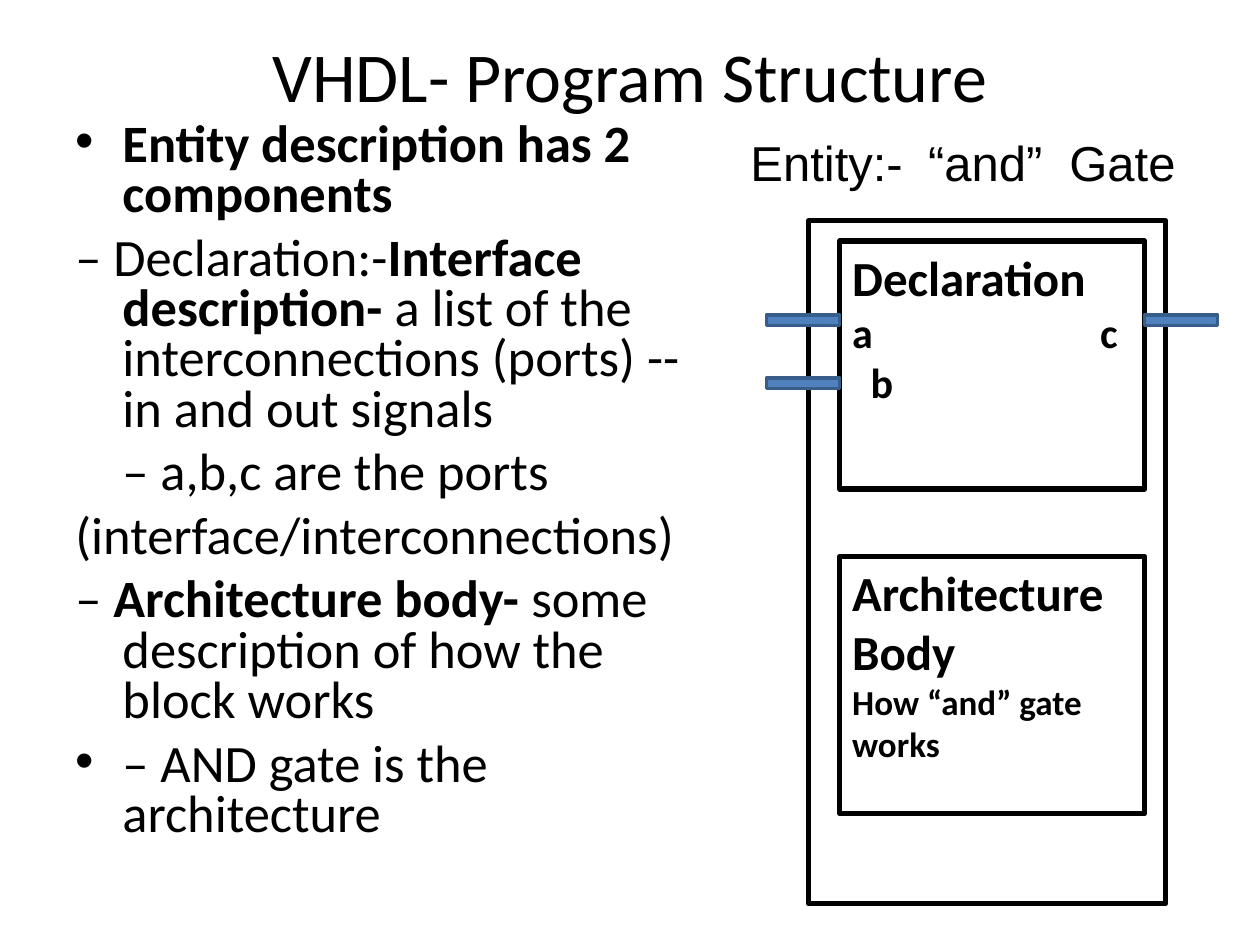
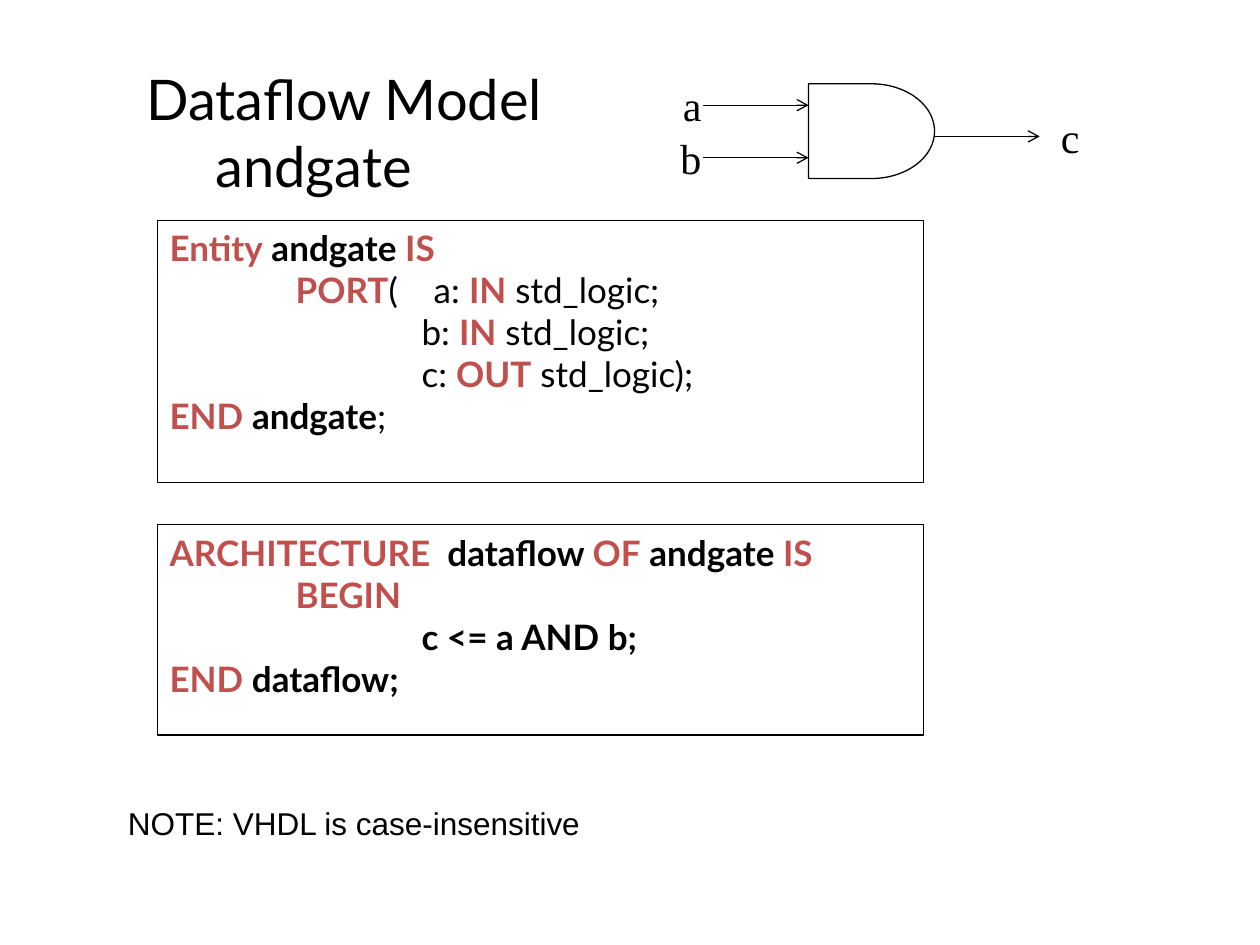
from dataclasses import dataclass, replace

from lxml.etree import SubElement
from pptx import Presentation
from pptx.dml.color import RGBColor
from pptx.enum.shapes import MSO_CONNECTOR, MSO_SHAPE
from pptx.enum.text import MSO_ANCHOR, PP_ALIGN
from pptx.oxml.ns import qn
from pptx.util import Cm, Pt

BLACK = RGBColor(0x00, 0x00, 0x00)
KEYWORD_RED = RGBColor(0xC0, 0x50, 0x4D)
PIN_BLUE = RGBColor(0x4F, 0x81, 0xBD)
PIN_EDGE = RGBColor(0x38, 0x5D, 0x8A)


@dataclass(frozen=True)
class Box:
    left: float
    top: float
    width: float
    height: float


@dataclass(frozen=True)
class Run:
    text: str
    bold: bool = False
    color: RGBColor = BLACK


@dataclass(frozen=True)
class Style:
    font: str
    size: float
    align: PP_ALIGN = PP_ALIGN.LEFT
    line_spacing: float = 1.0
    space_before: float = 0


@dataclass(frozen=True)
class Para:
    runs: tuple[Run, ...]
    left: float = 0
    indent: float = 0
    bullet: str = ""
    tabs: tuple[float, ...] = ()
    size: float | None = None


@dataclass(frozen=True)
class Outline:
    color: RGBColor
    width: float
    fill: RGBColor | None = None


TITLE = Style("Calibri", 40, PP_ALIGN.CENTER)
MODEL_TITLE = Style("Lato", 32)
BODY = Style("Calibri", 30, line_spacing=0.8, space_before=7.5)
BLOCK = Style("Calibri", 28)
CODE = Style("Lato", 20)
SIGNAL = Style("Times New Roman", 24, PP_ALIGN.RIGHT)
CAPTION = Style("Arial", 28)
NOTE = replace(CAPTION, size=18)

THICK = Outline(BLACK, 3)
THIN = Outline(BLACK, 0.75)
PIN = Outline(PIN_EDGE, 2, PIN_BLUE)

HANG = 0.95
CODE_STEP = 2.54


def plain(text: str, **layout) -> Para:
    return Para((Run(text),), **layout)


def bold(text: str, **layout) -> Para:
    return Para((Run(text, True),), **layout)


def keyword(text: str) -> Run:
    return Run(text, True, KEYWORD_RED)


def name(text: str) -> Run:
    return Run(text, True)


def hanging(*runs: Run, bullet: str = "") -> Para:
    return Para(runs, HANG, -HANG, bullet)


def code(*runs: Run, level: int = 0) -> Para:
    return Para(runs, left=level * CODE_STEP)


def set_all(target, values: dict) -> None:
    for attribute, value in values.items():
        setattr(target, attribute, value)


def add_marks(paragraph, para: Para) -> None:
    """Give a paragraph its indents, bullet and tab stops.

    Zero indents stay unset, since an explicit one makes LibreOffice drop the tab stops.
    """
    properties = paragraph._p.get_or_add_pPr()
    for attribute, length in (("marL", para.left), ("indent", para.indent)):
        if length:
            properties.set(attribute, str(Cm(length)))
    if para.bullet:
        SubElement(properties, qn("a:buFont"), typeface="Arial")
        SubElement(properties, qn("a:buChar"), char=para.bullet)
    if para.tabs:
        stops = SubElement(properties, qn("a:tabLst"))
        for stop in para.tabs:
            SubElement(stops, qn("a:tab"), pos=str(Cm(stop)), algn="l")


def write(shape, paras: list[Para], style: Style, **frame_format) -> None:
    frame = shape.text_frame
    set_all(frame, {"word_wrap": True, "vertical_anchor": MSO_ANCHOR.TOP, **frame_format})
    for index, para in enumerate(paras):
        paragraph = frame.add_paragraph() if index else frame.paragraphs[0]
        add_marks(paragraph, para)
        set_all(paragraph, {
            "alignment": style.align,
            "line_spacing": style.line_spacing,
            "space_before": Pt(style.space_before if index else 0),
        })
        for part in para.runs:
            run = paragraph.add_run()
            run.text = part.text
            set_all(run.font, {
                "name": style.font,
                "size": Pt(para.size or style.size),
                "bold": part.bold,
            })
            run.font.color.rgb = part.color


def place(box: Box) -> tuple[Cm, ...]:
    return Cm(box.left), Cm(box.top), Cm(box.width), Cm(box.height)


def add_text(slide, box: Box, paras: list[Para], style: Style, **frame_format) -> None:
    write(slide.shapes.add_textbox(*place(box)), paras, style, **frame_format)


def add_outlined(slide, box: Box, outline: Outline, kind=MSO_SHAPE.RECTANGLE):
    shape = slide.shapes.add_shape(kind, *place(box))
    shape.shadow.inherit = False
    if outline.fill is None:
        shape.fill.background()
    else:
        shape.fill.solid()
        shape.fill.fore_color.rgb = outline.fill
    shape.line.color.rgb = outline.color
    shape.line.width = Pt(outline.width)
    return shape


def add_wire(slide, start: float, end: float, y: float) -> None:
    """Draw a signal wire with an open arrowhead at its end."""
    wire = slide.shapes.add_connector(
        MSO_CONNECTOR.STRAIGHT, Cm(start), Cm(y), Cm(end), Cm(y))
    wire.line.color.rgb = BLACK
    wire.line.width = Pt(0.75)
    SubElement(wire.line._get_or_add_ln(), qn("a:tailEnd"), type="arrow")
    SubElement(wire._element.spPr, qn("a:effectLst"))


def build_program_structure(slide) -> None:
    add_text(slide, Box(1.27, 0.66, 22.86, 3.18),
             [plain("VHDL- Program Structure")], TITLE, margin_top=0)
    add_text(slide, Box(1.27, 2.33, 12.7, 15.44), [
        hanging(name("Entity description has 2 components"), bullet="•"),
        hanging(Run("– Declaration:-"), name("Interface description- "),
                Run("a list of the interconnections (ports) --in and out signals")),
        plain("– a,b,c are the ports", left=HANG),
        hanging(Run("(interface/interconnections)")),
        hanging(Run("– "), name("Architecture body- "),
                Run("some description of how the block works")),
        hanging(Run("– AND gate is the architecture"), bullet="•"),
    ], BODY)

    add_outlined(slide, Box(16.3, 4.45, 7.2, 13.77), THICK)
    declaration = add_outlined(slide, Box(16.93, 4.86, 6.15, 5), THICK)
    write(declaration, [
        bold("Declaration"),
        bold("a\tc", tabs=(5,), size=24),
        bold("b", left=0.37, size=24),
    ], BLOCK)
    for left, top in ((15.45, 6.35), (15.45, 7.62), (23.07, 6.35)):
        add_outlined(slide, Box(left, top, 1.48, 0.21), PIN)
    architecture = add_outlined(slide, Box(16.93, 11.22, 6.15, 5.18), THICK)
    write(architecture, [
        bold("Architecture Body"),
        bold("How “and” gate works", size=20),
    ], BLOCK)
    add_text(slide, Box(14.88, 2.54, 9.12, 1.45),
             [plain("Entity:-\t“and”\tGate", tabs=(3.58, 6.43))], CAPTION)


def build_dataflow_model(slide) -> None:
    add_text(slide, Box(1.27, 0.02, 22.86, 5.28),
             [plain("Dataflow Model", left=1.43), plain("andgate", left=2.82)],
             MODEL_TITLE, vertical_anchor=MSO_ANCHOR.MIDDLE)

    entity = add_outlined(slide, Box(3.17, 4.45, 15.45, 5.28), THIN)
    write(entity, [
        code(keyword("Entity"), name(" andgate "), keyword("IS")),
        code(keyword("PORT"), Run("(    a: "), keyword("IN"), Run(" std_logic;"), level=1),
        code(Run("b: "), keyword("IN"), Run(" std_logic;"), level=2),
        code(Run("c: "), keyword("OUT"), Run(" std_logic);"), level=2),
        code(keyword("END "), name("andgate"), Run(";")),
    ], CODE)

    add_outlined(slide, Box(16.3, 1.69, 2.54, 1.91), THIN, MSO_SHAPE.FLOWCHART_DELAY)
    for start, end, y in ((14.18, 16.3, 2.12), (14.18, 16.3, 3.18), (18.84, 20.96, 2.75)):
        add_wire(slide, start, end, y)
    for signal, left, top in (("a", 13.12, 1.47), ("b", 13.12, 2.54), ("c", 20.74, 2.12)):
        add_text(slide, Box(left, top, 1.27, 1.07), [plain(signal)], SIGNAL)

    architecture = add_outlined(slide, Box(3.17, 10.58, 15.45, 4.24), THIN)
    write(architecture, [
        code(keyword("ARCHITECTURE"), name("  dataflow "), keyword("OF"),
             name(" andgate "), keyword("IS")),
        code(keyword("BEGIN"), level=1),
        code(name("c <= a AND b;"), level=2),
        code(keyword("END"), name(" dataflow;")),
    ], CODE)
    add_text(slide, Box(2.33, 16.08, 19.05, 1.02),
             [plain("NOTE: VHDL is case-insensitive")], NOTE)


def main() -> None:
    deck = Presentation()
    deck.slide_width, deck.slide_height = Cm(25.4), Cm(19.05)
    blank = deck.slide_layouts[6]
    for build in (build_program_structure, build_dataflow_model):
        build(deck.slides.add_slide(blank))
    deck.save("out.pptx")


if __name__ == "__main__":
    main()
